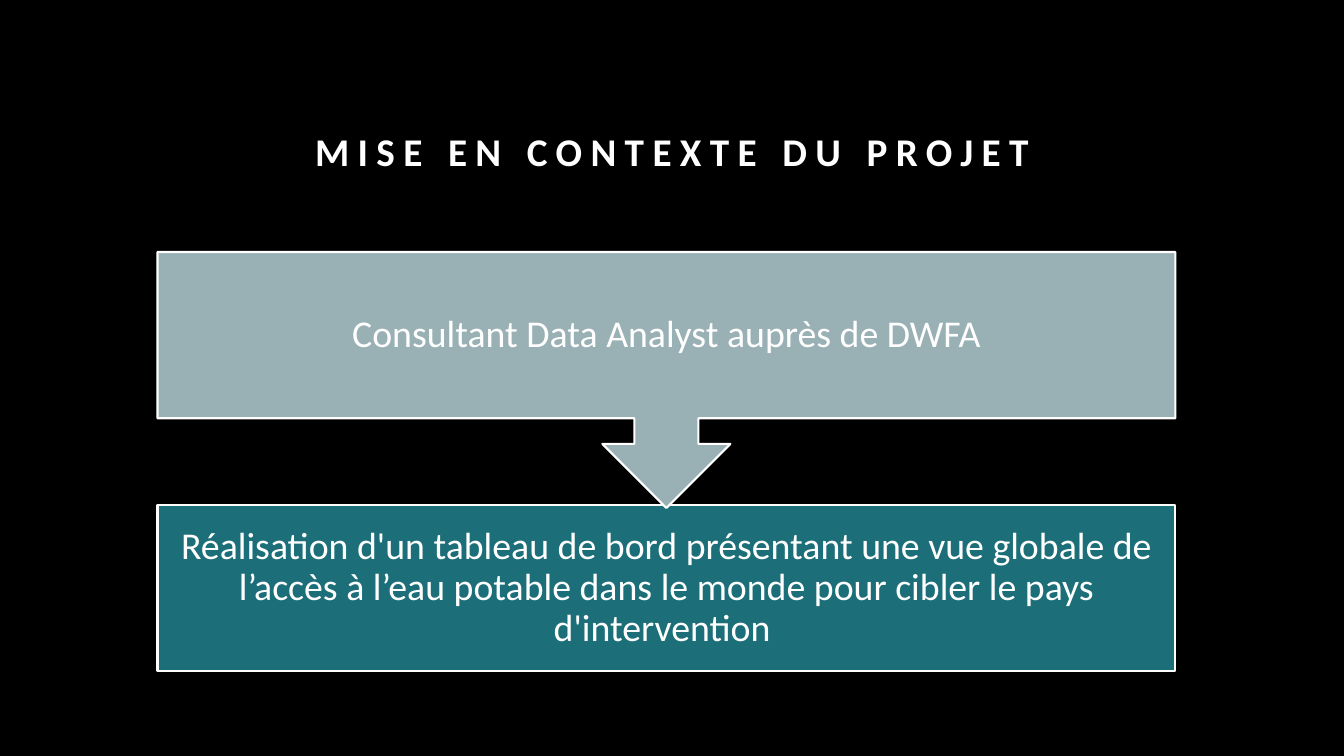
from dataclasses import dataclass

from pptx import Presentation
from pptx.dml.color import RGBColor
from pptx.enum.shapes import MSO_SHAPE
from pptx.enum.text import MSO_ANCHOR, PP_ALIGN
from pptx.util import Cm, Pt

RECTANGLE = MSO_SHAPE.RECTANGLE
ARROW_CALLOUT = MSO_SHAPE.DOWN_ARROW_CALLOUT
MIDDLE = MSO_ANCHOR.MIDDLE
BOTTOM = MSO_ANCHOR.BOTTOM
CENTER = PP_ALIGN.CENTER


@dataclass(frozen=True)
class Theme:
    """Colours, font and sizes of the slide."""
    background: RGBColor = RGBColor(0x00, 0x00, 0x00)
    text: RGBColor = RGBColor(0xFF, 0xFF, 0xFF)
    role: RGBColor = RGBColor(0x99, 0xB0, 0xB5)
    mission: RGBColor = RGBColor(0x1C, 0x6E, 0x79)
    font: str = "Calibri"
    title_size: Pt = Pt(28)
    step_size: Pt = Pt(27)
    outline: Pt = Pt(1.5)


THEME = Theme()


def write_text(shape, text, size, anchor, line_spacing):
    """Write one centred paragraph and return its run."""
    frame = shape.text_frame
    frame.text = text
    frame.word_wrap = True
    frame.vertical_anchor = anchor
    paragraph = frame.paragraphs[0]
    paragraph.alignment = CENTER
    paragraph.line_spacing = line_spacing
    run = paragraph.runs[0]
    run.font.name = THEME.font
    run.font.size = size
    run.font.color.rgb = THEME.text
    return run


def add_title(slide, text, left, top, width, height):
    """Add the bold, widely spaced title."""
    box = slide.shapes.add_textbox(left, top, width, height)
    run = write_text(box, text, THEME.title_size, BOTTOM, 1.2)
    run.font.bold = True
    run.font._element.set("spc", "600")


def add_step(slide, kind, text, fill, left, top, width, height):
    """Add one outlined step of the process."""
    shape = slide.shapes.add_shape(kind, left, top, width, height)
    shape.shadow.inherit = False
    shape.fill.solid()
    shape.fill.fore_color.rgb = fill
    shape.line.color.rgb = THEME.text
    shape.line.width = THEME.outline
    frame = shape.text_frame
    frame.margin_left = frame.margin_right = Cm(0.53)
    frame.margin_top = frame.margin_bottom = Cm(0.53)
    write_text(shape, text, THEME.step_size, MIDDLE, 0.9)


def add_process(slide, left, top, width, height):
    """Stack the role callout above the mission box it points to."""
    callout_height = Cm(6.45)
    mission_height = Cm(4.19)
    mission_top = top + height - mission_height
    add_step(slide, RECTANGLE,
             "Réalisation d'un tableau de bord présentant une vue globale de "
             "l’accès à l’eau potable dans le monde pour cibler le pays "
             "d'intervention ",
             THEME.mission, left, mission_top, width, mission_height)
    add_step(slide, ARROW_CALLOUT, "Consultant Data Analyst auprès de DWFA",
             THEME.role, left, top, width, callout_height)


def main():
    """Build and save the presentation."""
    presentation = Presentation()
    presentation.slide_width = Cm(33.87)
    presentation.slide_height = Cm(19.05)
    slide = presentation.slides.add_slide(presentation.slide_layouts[6])
    slide.background.fill.solid()
    slide.background.fill.fore_color.rgb = THEME.background
    add_title(slide, "MISE EN CONTEXTE DU PROJET",
              Cm(4.24), Cm(2.12), Cm(25.4), Cm(2.41))
    add_process(slide, Cm(3.97), Cm(6.35), Cm(25.65), Cm(10.57))
    presentation.save("out.pptx")


if __name__ == "__main__":
    main()
